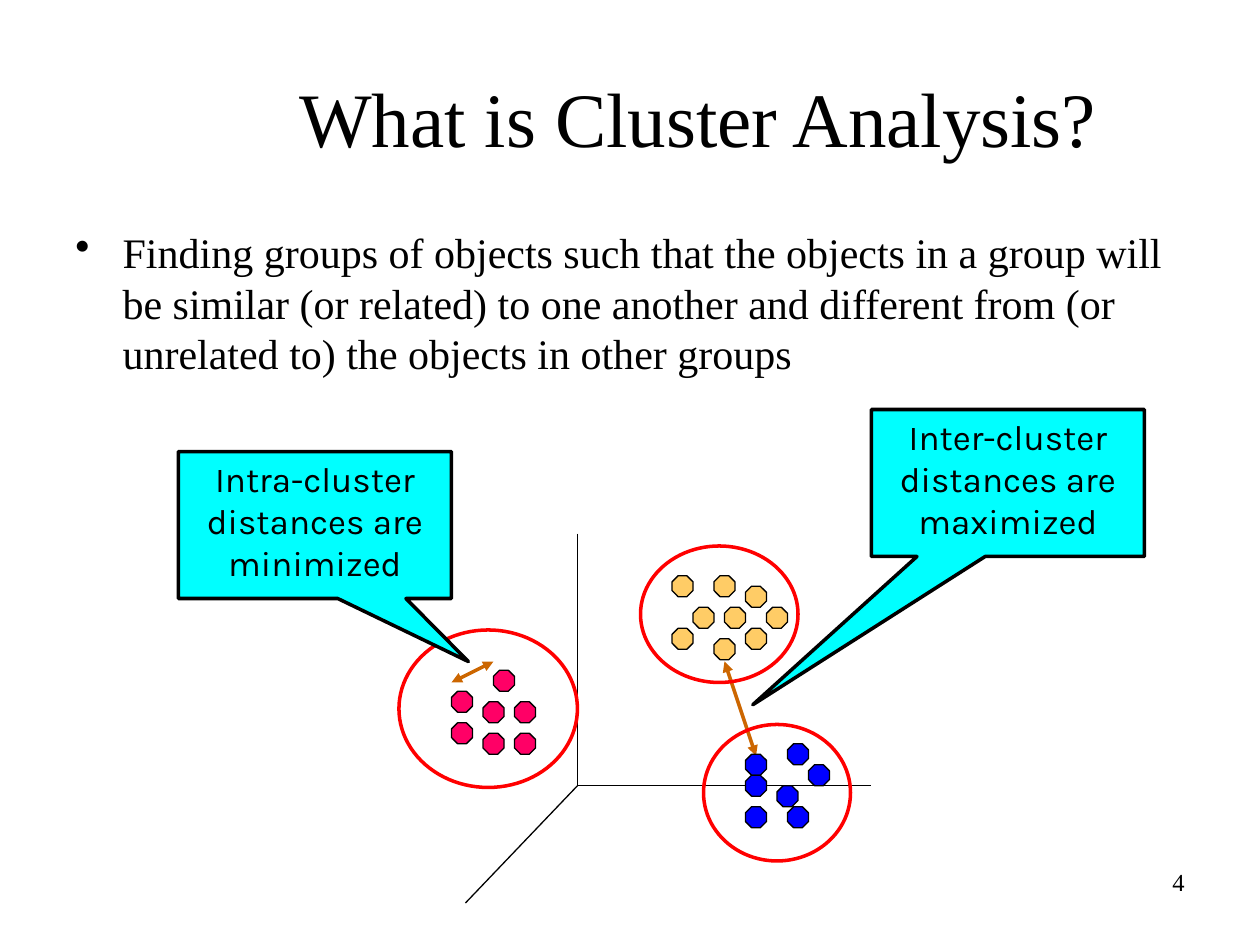
"""Build the slide that explains cluster analysis with a three-cluster diagram."""
from lxml import etree
from pptx import Presentation
from pptx.dml.color import RGBColor
from pptx.enum.shapes import MSO_CONNECTOR, MSO_SHAPE
from pptx.enum.text import MSO_ANCHOR, PP_ALIGN
from pptx.oxml.ns import qn
from pptx.util import Pt

OCTAGON, ELLIPSE, CALLOUT = MSO_SHAPE.OCTAGON, MSO_SHAPE.OVAL, MSO_SHAPE.RECTANGULAR_CALLOUT
STRAIGHT = MSO_CONNECTOR.STRAIGHT
LEFT, CENTER, RIGHT = PP_ALIGN.LEFT, PP_ALIGN.CENTER, PP_ALIGN.RIGHT
TOP, MIDDLE = MSO_ANCHOR.TOP, MSO_ANCHOR.MIDDLE
SERIF, SANS = "Times New Roman", "Karla"
COLORS = {
    "black": "000000", "orange": "FFCC66", "pink": "FF0066", "blue": "0000FF",
    "ring": "FF0000", "arrow": "CC6600", "callout": "00FFFF",
}
GRID = 6


def write(holder, text, size, font, align, anchor=TOP):
    frame = holder.text_frame
    frame.word_wrap = True
    frame.vertical_anchor = anchor
    paragraph = frame.paragraphs[0]
    paragraph.alignment = align
    run = paragraph.add_run()
    run.text = text
    run.font.size = Pt(size)
    run.font.name = font
    run.font.color.rgb = RGBColor.from_string(COLORS["black"])
    return paragraph


def draw(preset, box, fill, line, width):
    shape = slide.shapes.add_shape(preset, *map(Pt, box))
    shape.shadow.inherit = False
    if fill:
        shape.fill.solid()
        shape.fill.fore_color.rgb = RGBColor.from_string(COLORS[fill])
    else:
        shape.fill.background()
    shape.line.color.rgb = RGBColor.from_string(COLORS[line])
    shape.line.width = Pt(width)
    return shape


prs = Presentation()
prs.slide_width, prs.slide_height = Pt(720), Pt(540)
slide = prs.slides.add_slide(prs.slide_layouts[6])

texts = [
    ((516, 492, 168, 37.5), "4", 14, RIGHT, TOP),
    ((114, 21.5, 570, 90), "What is Cluster Analysis?", 44, CENTER, MIDDLE),
    ((36, 126, 648, 172),
     "Finding groups of objects such that the objects in a group will be similar "
     "(or related) to one another and different from (or unrelated to) the objects "
     "in other groups", 24, LEFT, TOP),
]
for box, text, size, align, anchor in texts:
    paragraph = write(slide.shapes.add_textbox(*map(Pt, box)), text, size, SERIF, align, anchor)

definition = paragraph._p.get_or_add_pPr()
definition.set("marL", str(Pt(27)))
definition.set("indent", str(-Pt(27)))
etree.SubElement(definition, qn("a:buChar"), char="•")

lines = [
    ((330, 305), (330, 449), "black", 0.75),
    ((330, 449), (498, 449), "black", 0.75),
    ((330, 449), (266, 516), "black", 0.75),
    ((432, 432), (414, 378), "arrow", 2),
    ((258, 390), (282, 378), "arrow", 2),
]
for start, end, color, width in lines:
    connector = slide.shapes.add_connector(STRAIGHT, *map(Pt, start + end))
    connector.line.color.rgb = RGBColor.from_string(COLORS[color])
    connector.line.width = Pt(width)
    if color == "arrow":
        for tip in ("a:headEnd", "a:tailEnd"):
            etree.SubElement(connector.line._get_or_add_ln(), qn(tip), type="triangle")
    etree.SubElement(connector._element.spPr, qn("a:effectLst"))

clusters = {
    "orange": [(66, 57), (69, 57), (68, 54), (68, 60), (73, 57),
               (71, 55), (64, 54), (71, 59), (64, 59)],
    "pink": [(43, 65), (46, 66), (46, 69), (49, 66), (47, 63), (49, 69), (43, 68)],
    "blue": [(71, 71), (77, 72), (74, 74), (71, 76), (75, 76), (71, 73), (75, 70)],
}
for color, members in clusters.items():
    for column, row in members:
        draw(OCTAGON, (column * GRID, row * GRID + 5, 12, 12), color, "black", 0.75)

for ring in [(228, 360, 102, 90), (366, 312, 90, 78), (402, 414, 84, 78)]:
    draw(ELLIPSE, ring, None, "ring", 2)

callouts = [
    ((498, 234), (-0.935, 1.509), "Inter-cluster distances are maximized"),
    ((102, 258), (0.562, 0.929), "Intra-cluster distances are minimized"),
]
for corner, tip, text in callouts:
    callout = draw(CALLOUT, corner + (156, 84), "callout", "black", 2)
    callout.adjustments[0], callout.adjustments[1] = tip
    write(callout, text, 20, SANS, CENTER)

prs.save("out.pptx")
